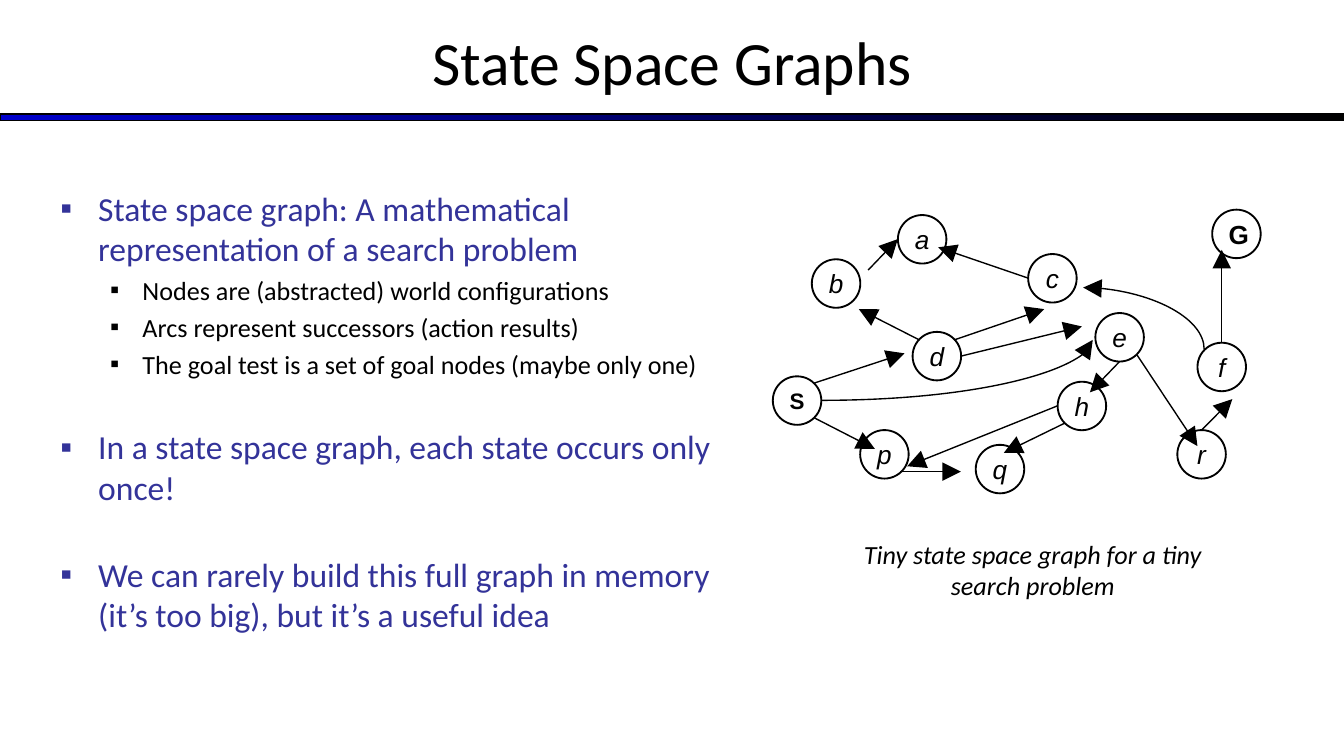
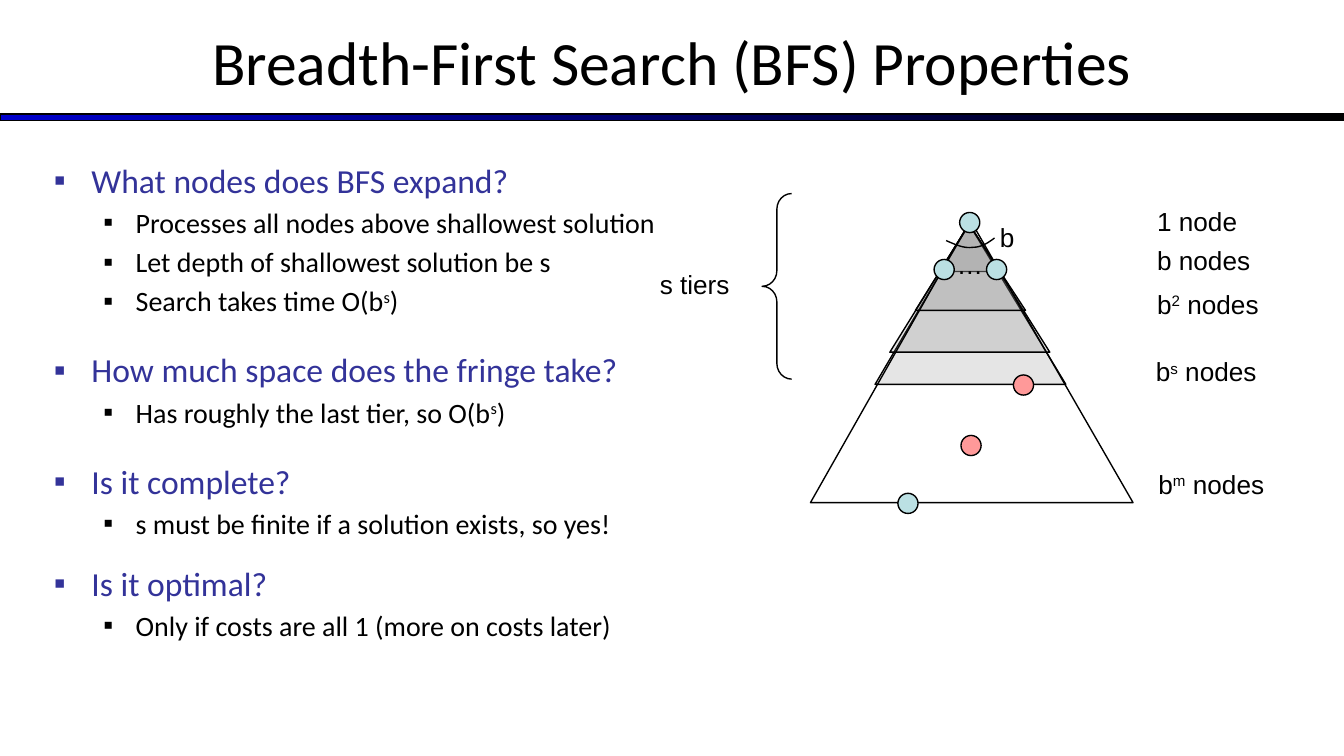
import lxml.etree
import pptx
import pptx.dml.color
import pptx.enum.shapes
import pptx.enum.text
import pptx.oxml.ns
import pptx.util

Pt = pptx.util.Pt
RGBColor = pptx.dml.color.RGBColor
SHAPE = pptx.enum.shapes.MSO_SHAPE
CONNECTOR = pptx.enum.shapes.MSO_CONNECTOR
ALIGN = pptx.enum.text.PP_ALIGN
ANCHOR = pptx.enum.text.MSO_ANCHOR
qn = pptx.oxml.ns.qn

BLACK = RGBColor(0x00, 0x00, 0x00)
BAND_BLUE = RGBColor(0x00, 0x00, 0xCC)
HEADING_BLUE = RGBColor(0x33, 0x33, 0x99)
TIER_GRAY = RGBColor(0x80, 0x80, 0x80)
NODE_TEAL = RGBColor(0xBB, 0xE0, 0xE3)
GOAL_PINK = RGBColor(0xFF, 0x99, 0x99)

PAGE_WIDTH, PAGE_HEIGHT = 720, 405
TITLE_BOX = (0, -1.4, PAGE_WIDTH, 67.7)
BAND_BOX = (0, 61, PAGE_WIDTH, 3.6)
LABEL_HEIGHT = 21.6
NODE_SIZE = 26
DOT_SIZE = 10.8

GRAPH_POINTS = [
    (0, "State space graph: A mathematical representation of a search problem", 0),
    (1, "Nodes are (abstracted) world configurations", 3),
    (1, "Arcs represent successors (action results)", 3),
    (1, "The goal test is a set of goal nodes (maybe only one)", 3),
    (0, "In a state space graph, each state occurs only once!", 25),
    (0, "We can rarely build this full graph in memory (it’s too big), "
        "but it’s a useful idea", 25),
]
BFS_POINTS = [
    (0, "What nodes does BFS expand?", 0),
    (1, "Processes all nodes above shallowest solution", 3),
    (1, "Let depth of shallowest solution be s", 3),
    (1, "Search takes time O(b^s^)", 3),
    (0, "How much space does the fringe take?", 17),
    (1, "Has roughly the last tier, so O(b^s^)", 3),
    (0, "Is it complete?", 17),
    (1, "s must be finite if a solution exists, so yes!", 3),
    (0, "Is it optimal?", 12),
    (1, "Only if costs are all 1 (more on costs later)", 3),
]
GRAPH_NODES = {
    "S": (0, 89.3), "G": (235.4, 0), "d": (74.9, 65.5), "b": (20.9, 26.6),
    "p": (46.8, 118.1), "q": (108.7, 126), "c": (136.8, 23.8), "e": (172.8, 55.4),
    "h": (152.6, 92.2), "a": (67, 2.9), "f": (227.5, 71.3), "r": (216.7, 118.1),
}
STRAIGHT_ARCS = [
    ((22.3, 111.6), (54.7, 128.2)), ((68.4, 140.4), (100.8, 140.4)),
    ((156.2, 114.5), (123.8, 130.3)), ((152.6, 105.1), (72, 137.5)),
    ((185.8, 81.4), (169.9, 97.9)), ((195.1, 77.8), (227.5, 126.7)),
    ((229.7, 118.1), (246.2, 101.5)), ((240.5, 71.3), (240.5, 21.6)),
    ((22.3, 92.9), (70.6, 77)), ((78.5, 69.8), (46.1, 53.3)),
    ((51.1, 32.4), (67, 15.8)), ((136.8, 36.7), (88.6, 20.2)),
    ((97.2, 69.8), (145.4, 53.3)), ((100.8, 78.5), (165.6, 62.6)),
]
CURVED_ARCS = [((215.3, 25.9), (182.2, 90.7), 90), ((25.9, 102.2), (171.4, 69.8), 0)]

TIERS = [(69.1, 101.5, 27.4), (34.6, 136.8, 87.8), (42.5, 128.2, 70.6), (56.2, 115.2, 48.2)]
TREE_OUTLINE = [(0, 151.2), (172.8, 151.2), (85.7, 0)]
BRANCH_CURVE = [(72.7, 10.8), (77.8, 13), (82.1, 15.1), (87.1, 14.4),
                (91.4, 14.4), (95, 12.2), (98.6, 9.4)]
TREE_DOTS = [
    (79.9, -4.3, NODE_TEAL), (66.2, 20.9, NODE_TEAL), (94.3, 20.9, NODE_TEAL),
    (46.8, 146.2, NODE_TEAL), (108.7, 82.8, GOAL_PINK), (80.6, 115.2, GOAL_PINK),
]
TREE_LABELS = [
    ("…", 73.4, 12.2, 16.6), ("b", 96.5, -2.2, 17.3),
    ("1 node", 180.7, -10.8, 66), ("b nodes", 180.7, 10.1, 66),
    ("b^2^ nodes", 180.7, 33.8, 66), ("b^s^ nodes", 180, 69.8, 86),
    ("b^m^ nodes", 181.4, 130.3, 86), ("s tiers", -85.7, 23, 75),
]


def points(*lengths):
    return [Pt(length) for length in lengths]


def place(shape, box):
    shape.left, shape.top, shape.width, shape.height = points(*box)


def write(para, text, size, color=BLACK, name="Arial", bold=False, italic=False):
    para.font.size = Pt(size)
    para.font.name = name
    para.font.color.rgb = color
    para.font.bold = bold
    para.font.italic = italic
    for index, piece in enumerate(text.split("^")):
        span = para.add_run()
        span.text = piece
        if index % 2:
            span.font._element.set("baseline", "30000")


def set_frame(frame, anchor=ANCHOR.TOP):
    frame.word_wrap = True
    frame.auto_size = pptx.enum.text.MSO_AUTO_SIZE.NONE
    frame.vertical_anchor = anchor
    frame.margin_left = frame.margin_right = Pt(5)
    frame.margin_top = frame.margin_bottom = Pt(2.7)


def outline(shape, width=0.75, fill=None):
    shape.shadow.inherit = False
    shape.line.color.rgb = BLACK
    shape.line.width = Pt(width)
    if fill is None:
        shape.fill.background()
    else:
        shape.fill.solid()
        shape.fill.fore_color.rgb = fill


def add_label(page, text, box, size=14, **style):
    label = page.shapes.add_textbox(*points(*box))
    set_frame(label.text_frame)
    write(label.text_frame.paragraphs[0], text, size, **style)
    return label


def add_band(deck, page):
    band = page.shapes.add_shape(SHAPE.RECTANGLE, *points(*BAND_BOX))
    outline(band)
    band.fill.gradient()
    band.fill.gradient_angle = 0
    for stop, color in zip(band.fill.gradient_stops, (BAND_BLUE, BLACK)):
        stop.color.rgb = color
    deck.slide_master.shapes.element.insert(2, band._element)


def add_page(deck, title):
    page = deck.slides.add_slide(deck.slide_layouts[1])
    heading = page.shapes.title
    place(heading, TITLE_BOX)
    set_frame(heading.text_frame, ANCHOR.MIDDLE)
    para = heading.text_frame.paragraphs[0]
    para.alignment = ALIGN.CENTER
    write(para, title, 33, name="Calibri")
    return page


def add_bullet(para, level, color):
    margin, indent = ((20.2, -20.2), (43.9, -17.3))[level]
    properties = para._p.get_or_add_pPr()
    properties.set("marL", str(Pt(margin)))
    properties.set("indent", str(Pt(indent)))
    bullet_color = lxml.etree.SubElement(properties, qn("a:buClr"))
    lxml.etree.SubElement(bullet_color, qn("a:srgbClr"), val=str(color))
    lxml.etree.SubElement(properties, qn("a:buFont"), typeface="Arial")
    lxml.etree.SubElement(properties, qn("a:buChar"), char="▪")


def fill_body(page, box, items, detail_size):
    body = page.placeholders[1]
    place(body, box)
    frame = body.text_frame
    set_frame(frame)
    for index, (level, text, space) in enumerate(items):
        para = frame.add_paragraph() if index else frame.paragraphs[0]
        color = BLACK if level else HEADING_BLUE
        para.level = level
        add_bullet(para, level, color)
        para.space_before = Pt(space)
        write(para, text, detail_size if level else 18, color, "Calibri")


def add_arc(page, kind, begin, end):
    arc = page.shapes.add_connector(kind, *points(*begin, *end))
    arc.line.color.rgb = BLACK
    arc.line.width = Pt(0.75)
    lxml.etree.SubElement(arc.line._get_or_add_ln(), qn("a:tailEnd"),
                          type="triangle", w="lg", len="lg")
    lxml.etree.SubElement(arc._element.spPr, qn("a:effectLst"))
    return arc


def add_graph(page, left, top):
    def shift(point):
        return left + point[0], top + point[1]

    for name, corner in GRAPH_NODES.items():
        node = page.shapes.add_shape(SHAPE.FLOWCHART_CONNECTOR,
                                     *points(*shift(corner), NODE_SIZE, NODE_SIZE))
        outline(node, 1)
        set_frame(node.text_frame, ANCHOR.MIDDLE)
        para = node.text_frame.paragraphs[0]
        para.alignment = ALIGN.CENTER
        write(para, name, 12 if name == "S" else 14,
              bold=name.isupper(), italic=name.islower())
    for begin, end in STRAIGHT_ARCS:
        add_arc(page, CONNECTOR.STRAIGHT, shift(begin), shift(end))
    for begin, end, turn in CURVED_ARCS:
        arc = add_arc(page, CONNECTOR.CURVE, shift(begin), shift(end))
        properties = arc._element.spPr
        properties.find(qn("a:prstGeom")).set("prst", "curvedConnector2")
        properties.find(qn("a:xfrm")).set("rot", str(turn * 60000))


def add_outline(page, corners, close=True):
    start, *rest = [tuple(points(*corner)) for corner in corners]
    builder = page.shapes.build_freeform(*start)
    builder.add_line_segments(rest, close=close)
    return builder.convert_to_shape()


def bend(shape):
    track = next(shape._element.iter(qn("a:path")))
    segments = track.findall(qn("a:lnTo"))
    for first in range(0, len(segments), 3):
        curve = lxml.etree.SubElement(track, qn("a:cubicBezTo"))
        for segment in segments[first:first + 3]:
            curve.append(segment[0])
            track.remove(segment)


def add_tree(page, left, top):
    def shift(corners):
        return [(left + x, top + y) for x, y in corners]

    for start, end, base in TIERS:
        tier = add_outline(page, shift([(85, 2), (start, base), (end, base)]))
        outline(tier, fill=TIER_GRAY)
        color = next(tier._element.spPr.find(qn("a:solidFill")).iter(qn("a:srgbClr")))
        lxml.etree.SubElement(color, qn("a:alpha"), val="20000")
    outline(add_outline(page, shift(TREE_OUTLINE)))
    for x, y, color in TREE_DOTS:
        dot = page.shapes.add_shape(SHAPE.OVAL,
                                    *points(left + x, top + y, DOT_SIZE, DOT_SIZE))
        outline(dot, fill=color)
    branch = add_outline(page, shift(BRANCH_CURVE), close=False)
    bend(branch)
    outline(branch)
    brace = page.shapes.add_shape(SHAPE.LEFT_BRACE,
                                  *points(left - 25.9, top - 14.4, 15.8, 99.4))
    brace.adjustments[0], brace.adjustments[1] = 0.53, 0.5
    outline(brace)
    for text, x, y, width in TREE_LABELS:
        add_label(page, text, (left + x, top + y, width, LABEL_HEIGHT))


def build_graph_page(deck):
    page = add_page(deck, "State Space Graphs")
    add_band(deck, page)
    fill_body(page, (27.4, 98, 373.7, 267), GRAPH_POINTS, 14)
    add_graph(page, 414, 112.3)
    caption = add_label(page, "Tiny state space graph for a tiny search problem",
                        (454.3, 285.8, 198, 38.2), name="Calibri", italic=True)
    caption.text_frame.paragraphs[0].alignment = ALIGN.CENTER


def build_bfs_page(deck):
    page = add_page(deck, "Breadth-First Search (BFS) Properties")
    fill_body(page, (23.8, 82.8, 336.2, 279.4), BFS_POINTS, 15)
    add_tree(page, 434.2, 118.1)


def main():
    deck = pptx.Presentation()
    deck.slide_width, deck.slide_height = points(PAGE_WIDTH, PAGE_HEIGHT)
    build_graph_page(deck)
    build_bfs_page(deck)
    deck.save("out.pptx")


if __name__ == "__main__":
    main()
